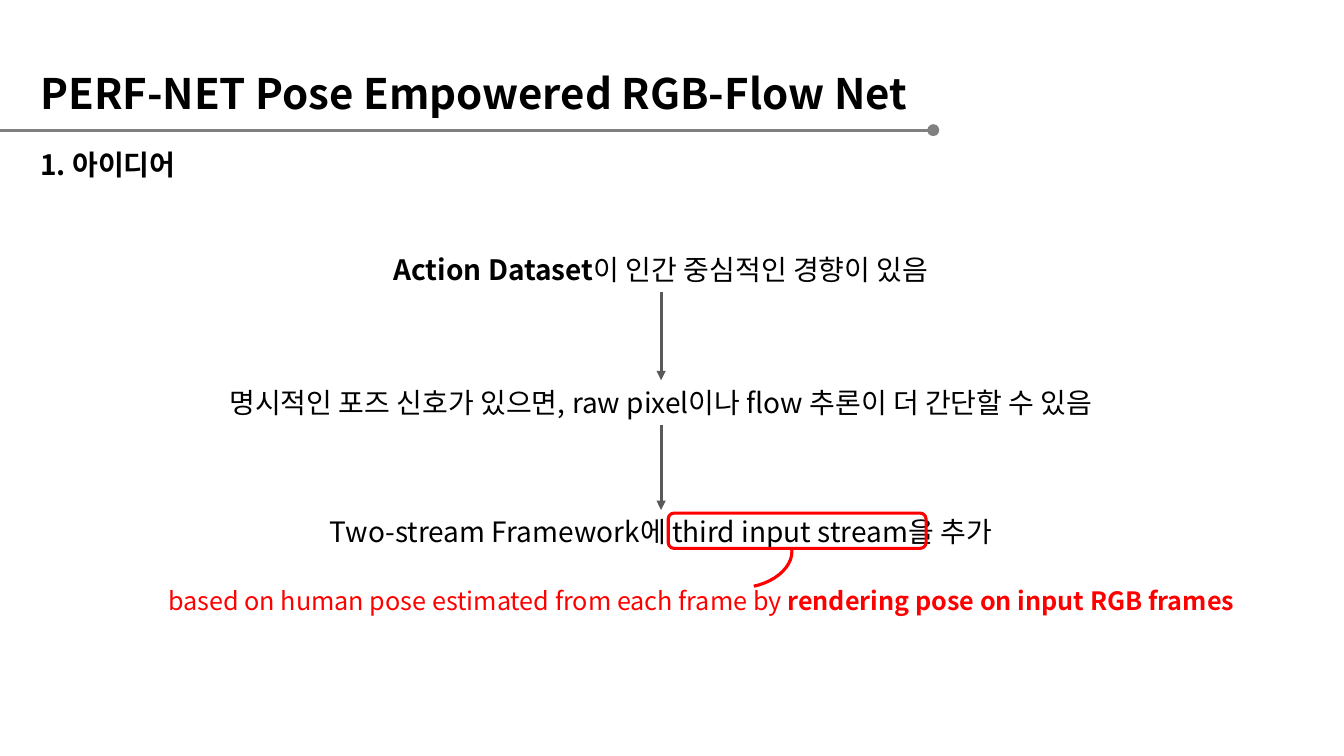
from dataclasses import dataclass

from lxml.etree import SubElement
from pptx import Presentation
from pptx.dml.color import RGBColor
from pptx.enum.shapes import MSO_CONNECTOR, MSO_SHAPE
from pptx.enum.text import MSO_ANCHOR, MSO_AUTO_SIZE, PP_ALIGN
from pptx.oxml.ns import qn
from pptx.shapes.autoshape import Shape
from pptx.shapes.connector import Connector
from pptx.slide import Slide
from pptx.util import Cm, Pt

FONT = "Noto Sans CJK KR"
BLACK = RGBColor(0, 0, 0)
RED = RGBColor(255, 0, 0)
RULE_GREY = RGBColor(128, 128, 128)
ARROW_GREY = RGBColor(89, 89, 89)
CENTER = 16.66
STEP_HEIGHT = 1.12


@dataclass(frozen=True)
class Span:
    text: str
    bold: bool = False


@dataclass(frozen=True)
class Step:
    top: float
    width: float
    spans: tuple[Span, ...]


STEPS = (
    Step(6.25, 15.39, (Span("Action Dataset", True), Span("이 인간 중심적인 경향이 있음"))),
    Step(9.58, 25.1, (Span("명시적인 포즈 신호가 있으면, raw pixel이나 flow 추론이 더 간단할 수 있음"),)),
    Step(12.85, 27.13, (Span("Two-stream Framework에 third input stream을 추가"),)),
)
CAPTION = (
    Span("based on human pose estimated from each frame by "),
    Span("rendering pose on input RGB frames", True),
)


def place(shape: Shape, left: float, top: float, width: float, height: float) -> None:
    shape.left, shape.top = Cm(left), Cm(top)
    shape.width, shape.height = Cm(width), Cm(height)


def write(shape: Shape, spans: tuple[Span, ...], size: float,
          color: RGBColor = BLACK, align: PP_ALIGN = PP_ALIGN.LEFT) -> None:
    """Fill a text shape with one paragraph, free of bullet and indent."""
    frame = shape.text_frame
    frame.word_wrap = True
    frame.auto_size = MSO_AUTO_SIZE.NONE
    frame.vertical_anchor = MSO_ANCHOR.TOP
    para = frame.paragraphs[0]
    para.alignment = align
    para.space_before = Pt(0)
    properties = para._p.get_or_add_pPr()
    properties.set("marL", "0")
    properties.set("indent", "0")
    SubElement(properties, qn("a:buNone"))
    para.font.name = FONT
    para.font.size = Pt(size)
    para.font.color.rgb = color
    SubElement(properties.find(qn("a:defRPr")), qn("a:ea"), typeface=FONT)
    for span in spans:
        run = para.add_run()
        run.text = span.text
        run.font.bold = span.bold


def add_text(page: Slide, left: float, top: float, width: float, height: float) -> Shape:
    return page.shapes.add_textbox(Cm(left), Cm(top), Cm(width), Cm(height))


def add_line(page: Slide, start: tuple[float, float], end: tuple[float, float],
             color: RGBColor, weight: float) -> Connector:
    line = page.shapes.add_connector(
        MSO_CONNECTOR.STRAIGHT, Cm(start[0]), Cm(start[1]), Cm(end[0]), Cm(end[1]))
    line.line.color.rgb = color
    line.line.width = Pt(weight)
    SubElement(line._element.spPr, qn("a:effectLst"))
    return line


def add_red_outline(page: Slide, kind: MSO_SHAPE, left: float, top: float,
                    width: float, height: float) -> Shape:
    shape = page.shapes.add_shape(kind, Cm(left), Cm(top), Cm(width), Cm(height))
    shape.shadow.inherit = False
    shape.fill.background()
    shape.line.color.rgb = RED
    shape.line.width = Pt(2.25)
    return shape


def add_heading(page: Slide) -> None:
    add_line(page, (0, 3.28), (23.5, 3.28), RULE_GREY, 2)
    dot = page.shapes.add_shape(MSO_SHAPE.OVAL, Cm(23.37), Cm(3.13), Cm(0.3), Cm(0.3))
    dot.shadow.inherit = False
    dot.fill.solid()
    dot.fill.fore_color.rgb = RULE_GREY
    dot.line.fill.background()
    title, topic = page.placeholders
    place(title, 0.76, 1.57, 23.55, 1.55)
    write(title, (Span("PERF-NET Pose Empowered RGB-Flow Net", True),), 30)
    place(topic, 0.76, 3.58, 22.73, STEP_HEIGHT)
    write(topic, (Span("1. 아이디어", True),), 20)


def add_steps(page: Slide) -> None:
    for step in STEPS:
        box = add_text(page, CENTER - step.width / 2, step.top, step.width, STEP_HEIGHT)
        write(box, step.spans, 20, align=PP_ALIGN.CENTER)
    for upper, lower in zip(STEPS, STEPS[1:]):
        arrow = add_line(page, (CENTER, upper.top + STEP_HEIGHT), (CENTER, lower.top),
                         ARROW_GREY, 2.25)
        SubElement(arrow.line._get_or_add_ln(), qn("a:tailEnd"), type="triangle")


def add_callout(page: Slide) -> None:
    add_red_outline(page, MSO_SHAPE.ROUNDED_RECTANGLE, 16.84, 12.93, 6.5, 0.89)
    arc = add_red_outline(page, MSO_SHAPE.ARC, 18.08, 12.9, 1.52, 2.26)
    arc.rotation = 78.1
    write(add_text(page, 3.99, 14.63, 29.72, 1.02), CAPTION, 18, RED)


def main() -> None:
    deck = Presentation()
    deck.slide_width, deck.slide_height = Cm(33.87), Cm(19.05)
    page = deck.slides.add_slide(deck.slide_layouts[1])
    add_heading(page)
    add_steps(page)
    add_callout(page)
    deck.save("out.pptx")


if __name__ == "__main__":
    main()
